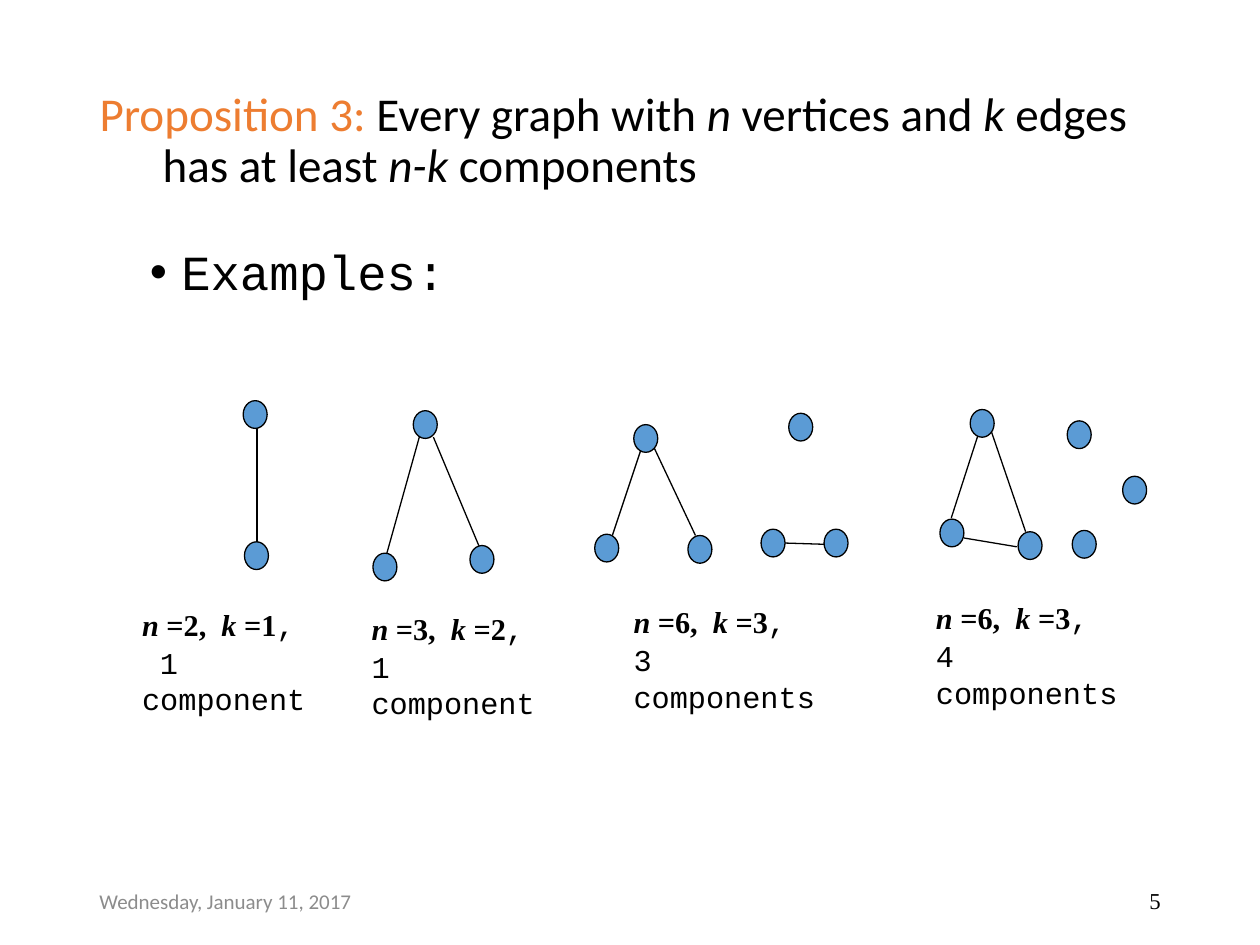
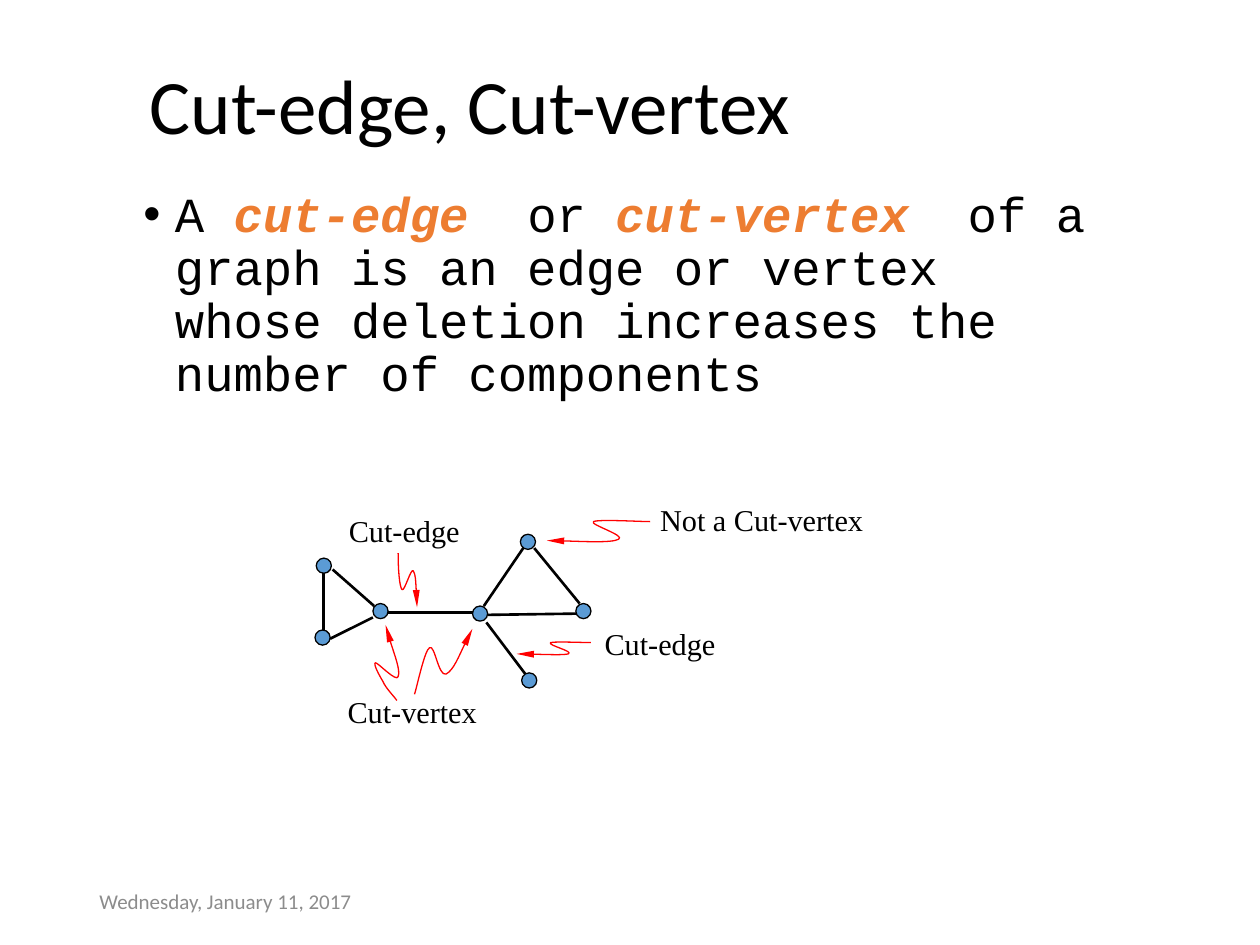
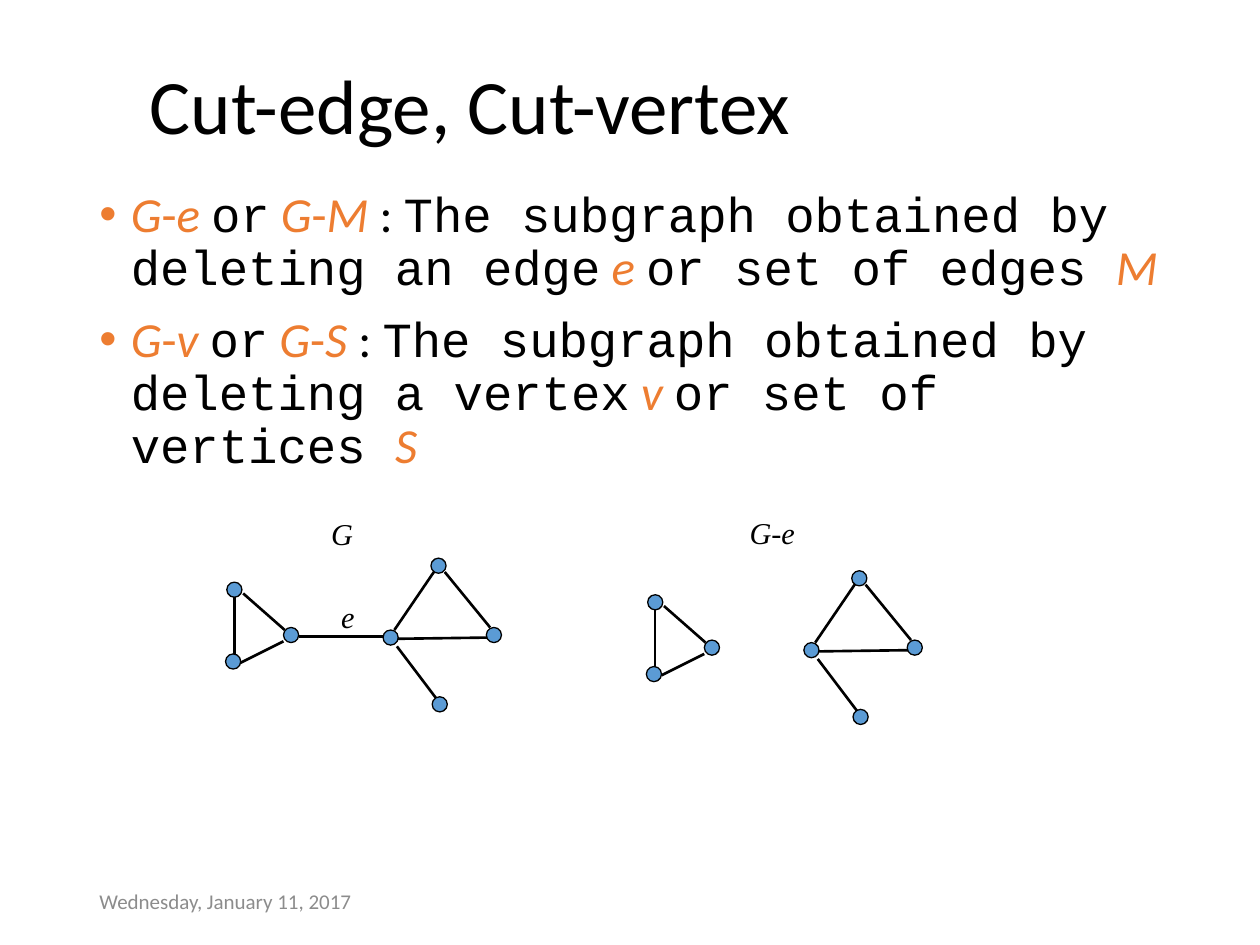
from dataclasses import dataclass
from typing import NamedTuple

from lxml import etree
from pptx import Presentation
from pptx.dml.color import RGBColor
from pptx.enum.shapes import MSO_CONNECTOR, MSO_SHAPE
from pptx.enum.text import MSO_ANCHOR, MSO_AUTO_SIZE, PP_ALIGN
from pptx.oxml.ns import qn
from pptx.util import Inches, Pt

STRAIGHT = MSO_CONNECTOR.STRAIGHT
ELLIPSE = MSO_SHAPE.OVAL
TOP, MIDDLE = MSO_ANCHOR.TOP, MSO_ANCHOR.MIDDLE
FIXED, GROW = MSO_AUTO_SIZE.NONE, MSO_AUTO_SIZE.SHAPE_TO_FIT_TEXT
LEFT, RIGHT = PP_ALIGN.LEFT, PP_ALIGN.RIGHT

BLACK, ORANGE, BLUE, RED, GREY = "000000", "ED7D31", "5B9BD5", "FF0000", "8C8C8C"
SANS, MONO, SERIF = "Calibri", "Courier New", "Times New Roman"

PLAIN = {"color": BLACK, "bold": False, "italic": False}
TITLE = PLAIN | {"name": SANS, "size": Pt(44)}
PROPOSITION = TITLE | {"size": Pt(26.9)}
BODY = PLAIN | {"name": MONO, "size": Pt(28)}
LABEL = PLAIN | {"name": SERIF, "size": Pt(17.3)}
DATE = PLAIN | {"name": SANS, "size": Pt(12), "color": GREY}
NUMBER = PLAIN | {"name": SERIF, "size": Pt(13)}

ITALIC = {"italic": True}
BOLD = {"bold": True}
VARIABLE = BOLD | ITALIC
TERM = VARIABLE | {"color": ORANGE}
SYMBOL = {"name": SANS, "color": ORANGE}
SYMBOL_ITALIC = SYMBOL | ITALIC
COLON = {"name": SANS}

Point = tuple[float, float]
Edge = tuple[Point, Point]


class Area(NamedTuple):
    left: float
    top: float
    width: float
    height: float


class Span(NamedTuple):
    text: str
    changes: dict = {}


@dataclass
class Paragraph:
    spans: list[Span]
    spacing: float = 1.0
    before: float = 0
    indent: Point = (0, 0)
    bullet: bool = False
    align: PP_ALIGN = LEFT


@dataclass
class Graph:
    """Vertices are given by their top left corner."""
    vertices: list[Point]
    edges: list[Edge]
    size: Point
    weight: float


@dataclass
class Example:
    graph: Graph
    area: Area
    vertex_count: int
    edge_count: int
    components: str
    indent: Point = (0, 0)


def example_graph(vertices: list[Point], edges: list[Edge]) -> Graph:
    return Graph(vertices, edges, (0.19, 0.22), 0.75)


EXAMPLES = [
    Example(example_graph([(1.93, 3.18), (1.94, 4.3)], [((2.04, 3.4), (2.04, 4.3))]),
            Area(1.03, 4.76, 1.73, 0.71), 2, 1, "1 component", (0, 0.14)),
    Example(example_graph([(3.28, 3.26), (2.96, 4.39), (3.73, 4.33)],
                          [((3.35, 3.39), (3.04, 4.5)), ((3.44, 3.47), (3.8, 4.33))]),
            Area(2.85, 4.79, 1.65, 0.69), 3, 2, "1 component"),
    Example(example_graph([(5.03, 3.37), (4.72, 4.24), (5.46, 4.25),
                           (6.26, 3.28), (6.04, 4.2), (6.54, 4.2)],
                          [((5.09, 3.56), (4.86, 4.25)), ((5.19, 3.55), (5.52, 4.25)),
                           ((6.23, 4.31), (6.54, 4.32))]),
            Area(4.93, 4.74, 1.77, 0.69), 6, 3, "3 components"),
    Example(example_graph([(7.7, 3.25), (7.46, 4.12), (8.08, 4.22),
                           (8.47, 3.34), (8.91, 3.78), (8.51, 4.21)],
                          [((7.76, 3.46), (7.55, 4.11)), ((7.87, 3.43), (8.14, 4.22)),
                           ((7.65, 4.27), (8.07, 4.34))]),
            Area(7.33, 4.71, 1.85, 0.69), 6, 3, "4 components"),
]

BRIDGE = ((3.08, 4.86), (3.75, 4.86))
SPLIT_GRAPH = Graph(
    [(2.51, 4.43), (2.5, 5), (2.96, 4.79), (3.75, 4.81),
     (4.13, 4.24), (4.57, 4.79), (4.14, 5.34)],
    [((2.57, 4.54), (2.57, 5)), ((2.64, 4.52), (2.97, 4.81)),
     ((2.62, 5.07), (2.96, 4.9)), ((4.16, 4.34), (3.84, 4.81)),
     ((3.86, 4.94), (4.17, 5.35)), ((4.24, 4.35), (4.6, 4.79)),
     ((3.87, 4.88), (4.6, 4.87))],
    (0.12, 0.12), 1.5)
BRIDGED_GRAPH = Graph(SPLIT_GRAPH.vertices, SPLIT_GRAPH.edges + [BRIDGE],
                      SPLIT_GRAPH.size, SPLIT_GRAPH.weight)

CALLOUTS = [
    ("Not a Cut-vertex", Area(5.14, 3.93, 1.89, 0.39)),
    ("Cut-edge", Area(2.67, 4.02, 1.45, 0.39)),
    ("Cut-edge", Area(4.7, 4.91, 1.45, 0.39)),
    ("Cut-vertex", Area(2.66, 5.45, 1.45, 0.39)),
]
# Each pointer is a start, then two control points and an end for every curve.
POINTERS = [
    [(3.16, 4.39), (3.16, 4.52), (3.17, 4.65), (3.19, 4.68), (3.21, 4.7),
     (3.26, 4.51), (3.28, 4.53), (3.3, 4.56), (3.31, 4.77), (3.31, 4.82)],
    [(4.69, 5.1), (4.64, 5.1), (4.4, 5.09), (4.37, 5.1), (4.34, 5.12),
     (4.56, 5.17), (4.51, 5.19), (4.47, 5.2), (4.18, 5.19), (4.1, 5.19)],
    [(3.15, 5.56), (3.13, 5.53), (3.06, 5.46), (3.04, 5.41), (3.01, 5.36),
     (2.96, 5.27), (2.98, 5.26), (3, 5.26), (3.15, 5.42), (3.16, 5.37),
     (3.18, 5.32), (3.08, 5.05), (3.06, 4.96)],
    [(3.29, 5.51), (3.31, 5.45), (3.37, 5.16), (3.41, 5.14), (3.45, 5.11),
     (3.48, 5.37), (3.54, 5.35), (3.6, 5.32), (3.71, 5.06), (3.75, 4.99)],
    [(5.16, 4.14), (5.08, 4.14), (4.75, 4.12), (4.71, 4.14), (4.67, 4.16),
     (4.97, 4.25), (4.91, 4.28), (4.85, 4.31), (4.46, 4.29), (4.34, 4.29)],
]


def rgb(value: str) -> RGBColor:
    return RGBColor.from_string(value)


def format_font(font, values: dict) -> None:
    for name, value in values.items():
        if name == "color":
            font.color.rgb = rgb(value)
        else:
            setattr(font, name, value)


def place(shape, area: Area) -> None:
    for name, value in area._asdict().items():
        setattr(shape, name, Inches(value))


def fill_text(frame, paragraphs: list[Paragraph], base: dict, anchor, sizing) -> None:
    for name, value in {"word_wrap": True, "auto_size": sizing,
                        "vertical_anchor": anchor}.items():
        setattr(frame, name, value)
    for index, paragraph in enumerate(paragraphs):
        para = frame.add_paragraph() if index else frame.paragraphs[0]
        for name, value in {"alignment": paragraph.align,
                            "line_spacing": paragraph.spacing,
                            "space_before": Pt(paragraph.before)}.items():
            setattr(para, name, value)
        properties = para._p.get_or_add_pPr()
        for name, value in zip(("marL", "indent"), paragraph.indent):
            properties.set(name, str(Inches(value)))
        if paragraph.bullet:
            etree.SubElement(properties, qn("a:buFont"), typeface="Arial")
            etree.SubElement(properties, qn("a:buChar"), char="•")
        for text, changes in paragraph.spans:
            span = para.add_run()
            span.text = text
            format_font(span.font, base | changes)


def add_text(shapes, area: Area, paragraphs: list[Paragraph], base: dict,
             anchor=TOP, sizing=FIXED) -> None:
    box = shapes.add_textbox(*map(Inches, area))
    fill_text(box.text_frame, paragraphs, base, anchor, sizing)


def add_label(shapes, area: Area, *spans: Span) -> None:
    add_text(shapes, area, [Paragraph(list(spans))], LABEL, sizing=GROW)


def bullet(*spans: Span, before: float = 0) -> Paragraph:
    return Paragraph(list(spans), 0.9, before, (0.25, -0.25), True)


def draw_line_style(shape, color: str, weight: float) -> None:
    shape.line.color.rgb = rgb(color)
    shape.line.width = Pt(weight)


def draw_graph(shapes, graph: Graph, shift: Point = (0, 0)) -> None:
    """Draw the edges, then the vertices over their ends."""
    right, down = shift
    for start, end in graph.edges:
        ends = [Inches(value + move) for point in (start, end)
                for value, move in zip(point, shift)]
        edge = shapes.add_connector(STRAIGHT, *ends)
        draw_line_style(edge, BLACK, graph.weight)
        etree.SubElement(edge._element.spPr, qn("a:effectLst"))
    for left, top in graph.vertices:
        vertex = shapes.add_shape(
            ELLIPSE, *map(Inches, (left + right, top + down, *graph.size)))
        vertex.shadow.inherit = False
        vertex.fill.solid()
        vertex.fill.fore_color.rgb = rgb(BLUE)
        draw_line_style(vertex, BLACK, 0.75)


def bend(outline) -> None:
    """Turn every three straight segments of a freeform into one cubic curve."""
    segments = list(outline._element.iter(qn("a:lnTo")))
    for first in range(0, len(segments), 3):
        trio = segments[first:first + 3]
        curve = etree.Element(qn("a:cubicBezTo"))
        trio[0].addprevious(curve)
        for segment in trio:
            curve.append(segment[0])
            segment.getparent().remove(segment)


def draw_pointer(shapes, points: list[Point]) -> None:
    start, *controls = [(Inches(x), Inches(y)) for x, y in points]
    builder = shapes.build_freeform(*start)
    builder.add_line_segments(controls, close=False)
    pointer = builder.convert_to_shape()
    bend(pointer)
    pointer.shadow.inherit = False
    pointer.fill.background()
    draw_line_style(pointer, RED, 0.75)
    etree.SubElement(pointer._element.spPr.find(qn("a:ln")), qn("a:tailEnd"),
                     type="triangle", w="sm", len="lg")


def add_page(deck, spans: list[Span], base: dict = TITLE,
             area: Area = Area(1.09, 0.33, 7.82, 1.08), indent: Point = (0, 0)):
    """Add a slide with its title and the date at the foot."""
    page = deck.slides.add_slide(deck.slide_layouts[5])
    title = page.shapes.title
    place(title, area)
    fill_text(title.text_frame, [Paragraph(spans, 0.9, indent=indent)],
              base, MIDDLE, FIXED)
    add_text(page.shapes, Area(0.69, 6.95, 2.25, 0.4),
             [Paragraph([Span("Wednesday, January 11, 2017")])], DATE, MIDDLE)
    return page


def build_proposition(deck) -> None:
    page = add_page(deck, [
        Span("Proposition 3: ", {"color": ORANGE}), Span("Every graph with "),
        Span("n", ITALIC), Span(" vertices and "), Span("k", ITALIC),
        Span(" edges has at least "), Span("n-k ", ITALIC), Span("components"),
    ], PROPOSITION, Area(0.69, 0.4, 8.62, 1.45), (0.5, -0.5))
    add_text(page.shapes, Area(1.09, 1.92, 7.82, 0.61),
             [bullet(Span("Examples:"))], BODY)
    for example in EXAMPLES:
        draw_graph(page.shapes, example.graph)
        counts = Paragraph([
            Span("n ", VARIABLE), Span(f"={example.vertex_count}, ", BOLD),
            Span(" k ", VARIABLE), Span(f"={example.edge_count}", BOLD),
            Span(",", {"name": MONO})])
        components = Paragraph([Span(example.components, {"name": MONO})],
                               before=1, indent=example.indent)
        add_text(page.shapes, example.area, [counts, components], LABEL, sizing=GROW)
    add_text(page.shapes, Area(7.06, 6.95, 2.25, 0.4),
             [Paragraph([Span("5")], align=RIGHT)], NUMBER, MIDDLE)


def build_definition(deck) -> None:
    page = add_page(deck, [Span("Cut-edge, Cut-vertex")])
    add_text(page.shapes, Area(1.04, 1.46, 7.82, 2.1), [bullet(
        Span("A "), Span("cut-edge ", TERM), Span(" or "), Span("cut-vertex ", TERM),
        Span(" of a graph is an edge or vertex whose deletion increases "
             "the number of components"))], BODY)
    group = page.shapes.add_group_shape()
    draw_graph(group.shapes, BRIDGED_GRAPH)
    for text, area in CALLOUTS:
        add_label(group.shapes, area, Span(text))
    for points in POINTERS:
        draw_pointer(group.shapes, points)


def deletion(single: str, several: str, phrase: str, kind: str,
             before: float = 0) -> Paragraph:
    return bullet(
        Span("G", SYMBOL_ITALIC), Span("-", SYMBOL), Span(f"{single} ", SYMBOL_ITALIC),
        Span("or"), Span(" G", SYMBOL_ITALIC), Span("-", SYMBOL),
        Span(several, SYMBOL_ITALIC), Span(" : ", COLON),
        Span(f"The subgraph obtained by deleting {phrase}"),
        Span(f" {single} ", SYMBOL_ITALIC), Span(f"or set of {kind} "),
        Span(several, SYMBOL_ITALIC), before=before)


def build_deletion(deck) -> None:
    page = add_page(deck, [Span("Cut-edge, Cut-vertex")])
    add_text(page.shapes, Area(0.69, 1.46, 8.74, 2.44), [
        deletion("e", "M", "an edge", "edges"),
        deletion("v", "S", "a vertex", "vertices", before=11.2)], BODY)
    draw_graph(page.shapes, BRIDGED_GRAPH, (-0.71, 0.19))
    draw_graph(page.shapes, SPLIT_GRAPH, (2.63, 0.29))
    add_label(page.shapes, Area(2.53, 4.04, 0.72, 0.39), Span("G", ITALIC))
    add_label(page.shapes, Area(2.61, 4.7, 0.41, 0.39), Span("e", ITALIC))
    add_label(page.shapes, Area(5.85, 4.03, 0.81, 0.39),
              Span("G", ITALIC), Span("-"), Span("e", ITALIC))


def main() -> None:
    deck = Presentation()
    deck.slide_width, deck.slide_height = Inches(10), Inches(7.5)
    for build in (build_proposition, build_definition, build_deletion):
        build(deck)
    deck.save("out.pptx")


if __name__ == "__main__":
    main()
